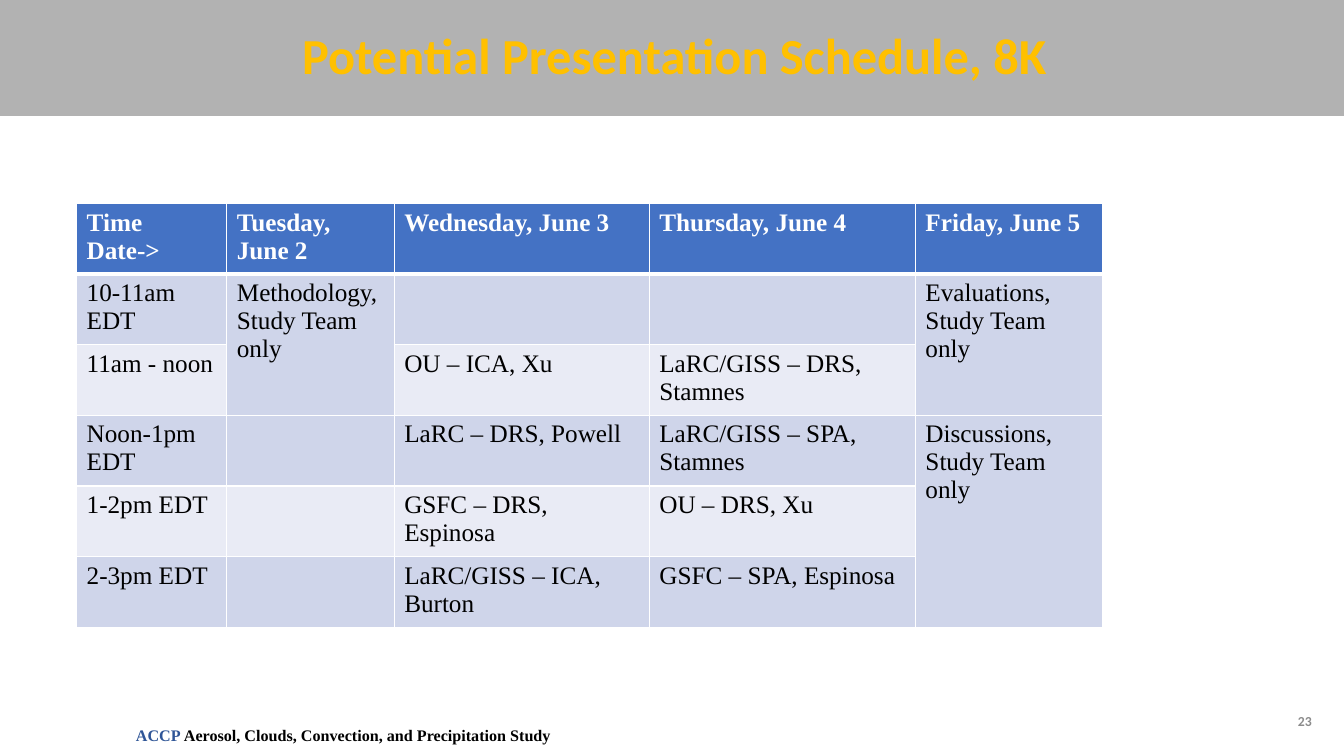
from lxml.etree import SubElement
from pptx import Presentation
from pptx.dml.color import RGBColor
from pptx.enum.text import MSO_ANCHOR as Anchor, MSO_AUTO_SIZE as AutoSize, PP_ALIGN as Align
from pptx.oxml.ns import qn
from pptx.util import Inches, Pt

SLIDE_W, SLIDE_H = 13.33, 7.5
SERIF, SANS = "Times New Roman", "Calibri"
COLORS = {
    "black": "000000", "white": "FFFFFF", "title": "FFC000", "accp": "2F5597",
    "number": "8C8C8C", "header": "4472C4", "odd": "CFD5EA", "even": "E9EBF5",
}
COL_WIDTHS = [1.49, 1.66, 2.53, 2.64, 1.86]
ROW_HEIGHT = 0.65
SCHEDULE = [
    ["Time\nDate->", "Tuesday, June 2", "Wednesday, June 3", "Thursday, June 4", "Friday, June 5"],
    ["10-11am EDT", "Methodology, Study Team only", "", "", "Evaluations, Study Team only"],
    ["11am - noon", "", "OU – ICA, Xu", "LaRC/GISS – DRS, Stamnes", ""],
    ["Noon-1pm EDT", "", "LaRC – DRS, Powell", "LaRC/GISS – SPA, Stamnes",
     "Discussions, Study Team only"],
    ["1-2pm EDT", "", "GSFC – DRS, Espinosa", "OU – DRS, Xu", ""],
    ["2-3pm EDT", "", "LaRC/GISS – ICA, Burton", "GSFC – SPA, Espinosa", ""],
]
MERGES = [(1, 2, 1), (1, 2, 4), (3, 5, 4)]  # first row, last row, column


def rgb(name):
    return RGBColor.from_string(COLORS[name])


def add_run(p, text, size, font, color, bold=False):
    r = p.add_run()
    r.text = text
    r.font.size, r.font.name, r.font.bold = Pt(size), font, bold
    r.font.color.rgb = rgb(color)


def add_title(s, text):
    sp = s.shapes.title
    sp.left = sp.top = 0
    sp.width, sp.height = Inches(SLIDE_W), Inches(1.15)
    sp.fill.solid()
    sp.fill.fore_color.rgb = rgb("black")
    color = sp.fill._xPr.find(qn("a:solidFill"))[0]
    SubElement(color, qn("a:alpha"), val="30000")
    tf = sp.text_frame
    tf.auto_size, tf.vertical_anchor, tf.word_wrap = AutoSize.NONE, Anchor.MIDDLE, True
    tf.margin_left = Inches(0.1)
    tf.margin_top = tf.margin_right = tf.margin_bottom = Inches(0.05)
    p = tf.paragraphs[0]
    p.alignment, p.line_spacing = Align.CENTER, 0.9
    add_run(p, text, 36, SANS, "title", True)


def add_label(s, box, runs, align, anchor, indent=0.1):
    sp = s.shapes.add_textbox(*map(Inches, box))
    tf = sp.text_frame
    tf.word_wrap, tf.vertical_anchor = True, anchor
    tf.margin_left = Inches(indent)
    p = tf.paragraphs[0]
    p.alignment = align
    for run in runs:
        add_run(p, *run)


def set_borders(cell, widths):
    tc_pr = cell._tc.get_or_add_tcPr()
    for side, width in widths.items():
        ln = SubElement(tc_pr, qn(f"a:ln{side}"), w=str(Pt(width)))
        fill = SubElement(ln, qn("a:solidFill"))
        SubElement(fill, qn("a:srgbClr"), val=COLORS["white"])


def fill_cell(cell, text, row):
    header = row == 0
    set_borders(cell, {"L": 1, "R": 1, "T": 3 if row == 1 else 1, "B": 3 if header else 1})
    cell.fill.solid()
    cell.fill.fore_color.rgb = rgb("header" if header else "odd" if row % 2 else "even")
    p = cell.text_frame.paragraphs[0]
    p.alignment = Align.LEFT
    for i, line in enumerate(text.split("\n") if text else []):
        if i:
            p.add_line_break()
        add_run(p, line, 18, SERIF, "white" if header else "black", header)


def add_schedule(s, left, top):
    table = s.shapes.add_table(
        len(SCHEDULE), len(COL_WIDTHS), Inches(left), Inches(top),
        Inches(sum(COL_WIDTHS)), Inches(ROW_HEIGHT * len(SCHEDULE))).table
    for column, width in zip(table.columns, COL_WIDTHS):
        column.width = Inches(width)
    for r, texts in enumerate(SCHEDULE):
        table.rows[r].height = Inches(ROW_HEIGHT)
        for c, text in enumerate(texts):
            fill_cell(table.cell(r, c), text, r)
    for first, last, col in MERGES:
        table.cell(first, col).merge(table.cell(last, col))


def main():
    prs = Presentation()
    prs.slide_width, prs.slide_height = Inches(SLIDE_W), Inches(SLIDE_H)
    s = prs.slides.add_slide(prs.slide_layouts[5])
    add_title(s, "Potential Presentation Schedule, 8K")
    add_label(s, (0.53, 7.01, 5.55, 0.43), [
        ("ACCP", 11.5, SERIF, "accp", True),
        (" Aerosol, Clouds, Convection, and Precipitation Study", 11.5, SERIF, "black", True),
    ], Align.CENTER, Anchor.BOTTOM, indent=0.3)
    add_label(s, (10.11, 6.95, 3, 0.4), [("23", 9.8, SANS, "number", True)],
              Align.RIGHT, Anchor.MIDDLE)
    add_schedule(s, 0.76, 2.02)
    prs.save("out.pptx")


if __name__ == "__main__":
    main()
